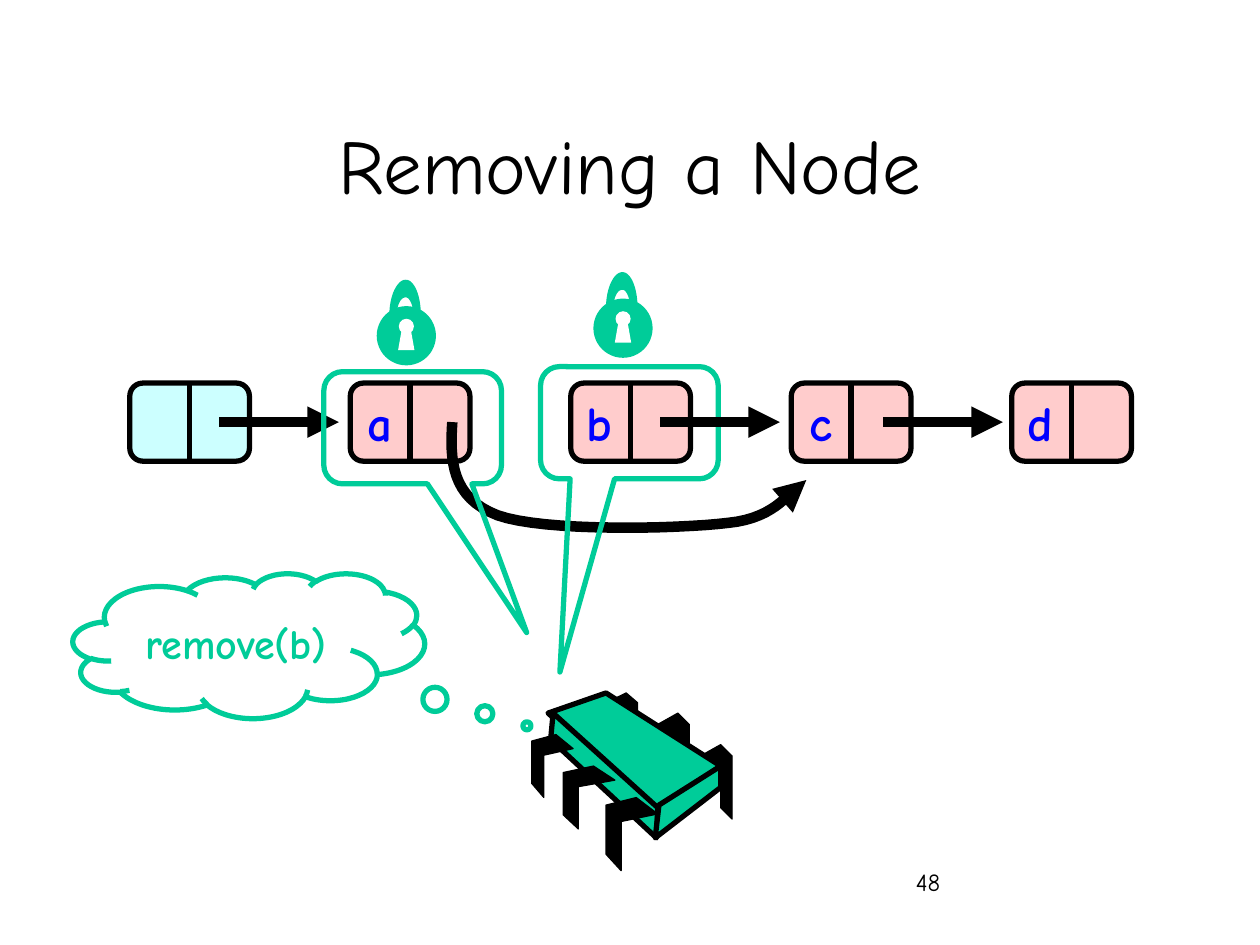
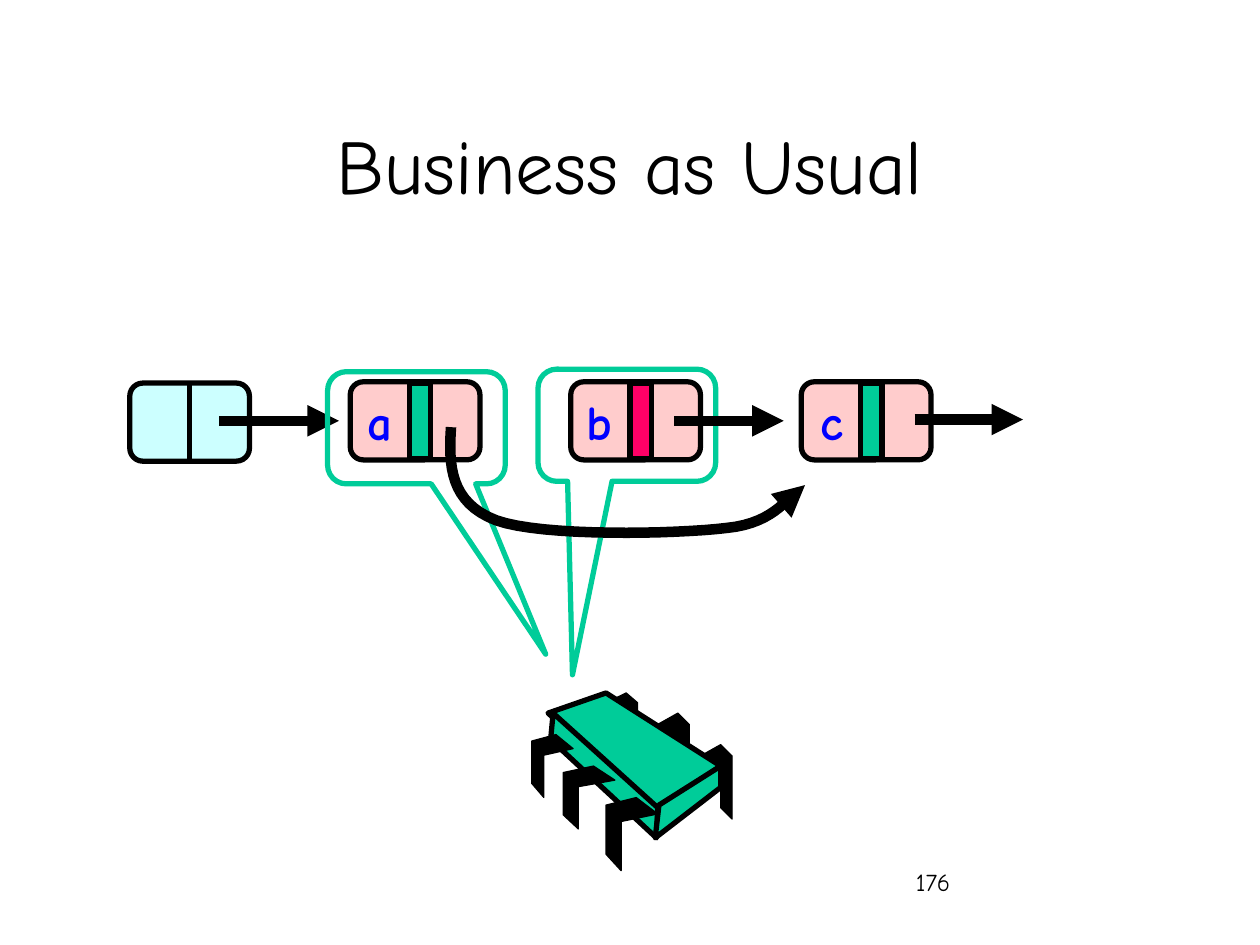
"""Build two slides about removing a node from a linked list."""
from dataclasses import dataclass
from typing import Any, Optional

from lxml.etree import SubElement
from pptx import Presentation
from pptx.dml.color import RGBColor
from pptx.enum.shapes import MSO_CONNECTOR, MSO_SHAPE
from pptx.enum.text import MSO_ANCHOR, MSO_AUTO_SIZE, PP_ALIGN
from pptx.oxml.ns import qn
from pptx.util import Inches, Pt

Point = tuple[float, float]
Points = list[Point]


@dataclass(frozen=True)
class Theme:
    font: str = "Comic Neue"
    black: str = "000000"
    white: str = "FFFFFF"
    green: str = "00CC99"
    pink: str = "FFCCCC"
    cyan: str = "CCFFFF"
    red: str = "FF0066"
    blue: str = "0000FF"
    title_size: int = 44
    label_size: int = 28
    thought_size: int = 24
    number_size: int = 14
    thin: float = 0.75
    outline: float = 3
    arrow: float = 6


THEME = Theme()
REAR_LEG = [(0, .09), (.16, 0), (.25, .09), (.25, .59), (.16, .5), (.16, .17), (0, .25)]
FRONT_LEG = [(.24, 0), (.41, .13), (.12, .19), (.12, .58), (0, .45), (0, .06)]
REAR_LEGS = [(5.56, 5.91, 1, 1), (5.22, 5.66, 1, 1), (4.81, 5.5, 1, .86)]
FRONT_LEGS = [(4.81, 6.33, 1, 1), (4.47, 6.08, 1, .86), (4.22, 5.83, .8, .86)]
CHIP_FACES = [
    [(4.81, 5.5), (5.72, 6.08), (5.21, 6.43), (4.35, 5.66)],
    [(4.39, 5.66), (5.22, 6.41), (5.21, 6.65), (4.37, 5.87)],
    [(5.72, 6.08), (5.72, 6.25), (5.2, 6.65), (5.23, 6.39)],
]
KEY_SLOT = [(.17, .56), (.2, .39), (.27, .39), (.3, .56)]
SHACKLE_INNER = [(.16, .28), (.16, .2), (.19, .14), (.23, .14),
                 (.26, .14), (.29, .2), (.29, .28)]
SHACKLE_OUTER = [(.35, .28), (.35, .13), (.3, 0), (.23, 0),
                 (.16, 0), (.1, .13), (.1, .28)]
BYPASS = [(0, 0), (-.02, .3), (-.01, .6), (.36, .74), (.72, .87),
          (1.78, .85), (2.19, .8), (2.59, .76), (2.68, .53), (2.81, .46)]


def color(value: str) -> RGBColor:
    """Turn a hex value into a colour."""
    return RGBColor.from_string(value)


def assign(target: Any, values: dict[str, Any]) -> None:
    """Set every named attribute on the target."""
    for name, value in values.items():
        setattr(target, name, value)


def place(points: Points, left: float, top: float,
          across: float = 1, down: float = 1) -> Points:
    """Scale points and move them to a corner."""
    return [(left + x * across, top + y * down) for x, y in points]


def bezier(points: Points, steps: int = 16) -> Points:
    """Sample a chain of cubic curves."""
    curve = [points[0]]
    for first in range(0, len(points) - 1, 3):
        controls = points[first:first + 4]
        for step in range(1, steps + 1):
            t = step / steps
            weights = ((1 - t) ** 3, 3 * t * (1 - t) ** 2, 3 * t * t * (1 - t), t ** 3)
            curve.append((sum(w * x for w, (x, _) in zip(weights, controls)),
                          sum(w * y for w, (_, y) in zip(weights, controls))))
    return curve


def paint_line(shape: Any, line: Optional[str], width: float, head: bool = False) -> None:
    """Give a shape its outline and an optional arrowhead."""
    if line is None:
        shape.line.fill.background()
        return
    shape.line.color.rgb = color(line)
    shape.line.width = Pt(width)
    if head:
        outline = shape._element.spPr.find(qn("a:ln"))
        SubElement(outline, qn("a:tailEnd"), type="triangle")


def paint(shape: Any, fill: Optional[str], line: Optional[str],
          width: float = THEME.outline, head: bool = False) -> None:
    """Give a shape its fill and outline without a shadow."""
    if fill is None:
        shape.fill.background()
    else:
        shape.fill.solid()
        shape.fill.fore_color.rgb = color(fill)
    paint_line(shape, line, width, head)
    shape.shadow.inherit = False


def preset(shapes: Any, kind: MSO_SHAPE, at: tuple[float, ...], fill: Optional[str],
           line: Optional[str], adjustments: tuple[float, ...] = ()) -> Any:
    """Draw a preset shape."""
    shape = shapes.add_shape(kind, *map(Inches, at))
    for index, value in enumerate(adjustments):
        shape.adjustments[index] = value
    paint(shape, fill, line)
    return shape


def outline(shapes: Any, points: Points, fill: Optional[str], line: Optional[str],
            width: float = THEME.outline, close: bool = True, head: bool = False) -> None:
    """Draw a freeform through the points."""
    corners = [(Inches(x), Inches(y)) for x, y in points]
    builder = shapes.build_freeform(*corners[0])
    builder.add_line_segments(corners[1:], close=close)
    paint(builder.convert_to_shape(), fill, line, width, head)


def connect(shapes: Any, start: Point, end: Point, width: float,
            head: bool = False) -> Any:
    """Draw a straight black connector."""
    ends = map(Inches, (*start, *end))
    line = shapes.add_connector(MSO_CONNECTOR.STRAIGHT, *ends)
    paint_line(line, THEME.black, width, head)
    SubElement(line._element.spPr, qn("a:effectLst"))
    return line


def write(box: Any, text: str, size: int, ink: str = THEME.black, bold: bool = False,
          align: PP_ALIGN = PP_ALIGN.LEFT, **frame: Any) -> None:
    """Write one paragraph into a box."""
    assign(box.text_frame, {"word_wrap": True, **frame})
    para = box.text_frame.paragraphs[0]
    para.alignment = align
    span = para.add_run()
    span.text = text
    assign(span.font, {"name": THEME.font, "size": Pt(size), "bold": bold})
    span.font.color.rgb = color(ink)


@dataclass(frozen=True)
class Node:
    left: float
    label: str = ""
    fill: str = THEME.pink
    mark: Optional[str] = None

    def draw(self, shapes: Any) -> None:
        """Draw a list node, its divider, label and mark."""
        parts = shapes.add_group_shape().shapes
        top, width = (3.03, 1.03) if self.mark else (3.04, .95)
        box = preset(parts, MSO_SHAPE.ROUNDED_RECTANGLE, (self.left, top, width, .62),
                     self.fill, THEME.black, (.167,))
        middle = self.left + .48
        divider = connect(parts, (middle, top), (middle, top + .62), THEME.outline)
        if self.mark is None:
            divider.begin_connect(box, 0)
            divider.end_connect(box, 2)
        if self.label:
            name = parts.add_textbox(*map(Inches, (self.left, top + .03, .43, .57)))
            write(name, self.label, THEME.label_size, THEME.blue, True, PP_ALIGN.RIGHT,
                  word_wrap=False, auto_size=MSO_AUTO_SIZE.SHAPE_TO_FIT_TEXT)
        if self.mark:
            preset(parts, MSO_SHAPE.RECTANGLE, (self.left + .47, 3.04, .17, .6),
                   self.mark, THEME.black)


@dataclass(frozen=True)
class Arrow:
    left: float
    top: float
    length: float = .95

    def draw(self, shapes: Any) -> None:
        """Draw a pointer to the next node."""
        connect(shapes, (self.left, self.top), (self.left + self.length, self.top),
                THEME.arrow, True)


@dataclass(frozen=True)
class Bypass:
    left: float
    top: float

    def draw(self, shapes: Any) -> None:
        """Draw the curved pointer around node b."""
        outline(shapes, bezier(place(BYPASS, self.left, self.top)), None,
                THEME.black, THEME.arrow, close=False, head=True)


@dataclass(frozen=True)
class Callout:
    left: float
    top: float
    tip: Point

    def draw(self, shapes: Any) -> None:
        """Draw the frame that links a node with the chip."""
        preset(shapes, MSO_SHAPE.ROUNDED_RECTANGULAR_CALLOUT,
               (self.left, self.top, 1.41, .89), None, THEME.green, (*self.tip, .167))


@dataclass(frozen=True)
class Chip:
    def draw(self, shapes: Any) -> None:
        """Draw the processor chip with its legs."""
        parts = shapes.add_group_shape().shapes
        for leg in REAR_LEGS:
            outline(parts, place(REAR_LEG, *leg), THEME.black, THEME.black, THEME.thin)
        for face in CHIP_FACES:
            outline(parts, face, THEME.green, THEME.black)
        for leg in FRONT_LEGS:
            outline(parts, place(FRONT_LEG, *leg), THEME.black, THEME.black, THEME.thin)


@dataclass(frozen=True)
class Lock:
    left: float
    top: float

    def draw(self, shapes: Any) -> None:
        """Draw a padlock."""
        parts = shapes.add_group_shape().shapes
        for inset, drop, size, fill in ((0, .21, .47, THEME.green),
                                        (.175, .31, .12, THEME.white)):
            preset(parts, MSO_SHAPE.OVAL,
                   (self.left + inset, self.top + drop, size, size), fill, None)
        shackle = bezier(SHACKLE_INNER) + bezier(SHACKLE_OUTER)
        for points, fill in ((KEY_SLOT, THEME.white), (shackle, THEME.green)):
            outline(parts, place(points, self.left, self.top), fill, None)


@dataclass(frozen=True)
class Thought:
    text: str

    def draw(self, shapes: Any) -> None:
        """Draw the thought cloud."""
        cloud = preset(shapes, MSO_SHAPE.CLOUD_CALLOUT, (.58, 4.55, 2.79, 1.15),
                       None, THEME.green, (.791, .553))
        write(cloud, self.text, THEME.thought_size, THEME.green, True,
              PP_ALIGN.CENTER, vertical_anchor=MSO_ANCHOR.MIDDLE)


@dataclass(frozen=True)
class Scene:
    title: str
    number: str
    items: tuple[Any, ...]


HEAD = Node(1.03, fill=THEME.cyan)
SCENES = (
    Scene("Removing a Node", "48", (
        HEAD, Node(2.78, "a"), Node(4.53, "b"), Node(6.28, "c"), Arrow(1.74, 3.35),
        Bypass(3.59, 3.35), Chip(),
        Callout(4.29, 2.91, (-.391, 2.223)), Callout(2.57, 2.95, (.642, 1.826)),
        Node(8.03, "d"), Arrow(5.24, 3.35), Arrow(7.01, 3.35),
        Thought("remove(b)"), Lock(4.71, 2.16), Lock(2.99, 2.22))),
    Scene("Business as Usual", "176", (
        Callout(4.27, 2.93, (-.306, 2.225)), HEAD, Arrow(1.74, 3.34),
        Node(2.78, "a", mark=THEME.green), Node(4.53, "b", mark=THEME.red),
        Node(6.36, "c", mark=THEME.green), Arrow(5.35, 3.34, .87),
        Arrow(7.26, 3.33, .86), Callout(2.6, 2.95, (.728, 2.019)),
        Bypass(3.58, 3.39), Chip())),
)


def build_page(deck: Any, scene: Scene) -> None:
    """Add one slide with its title, number and items."""
    page = deck.slides.add_slide(deck.slide_layouts[6])
    number = page.shapes.add_textbox(*map(Inches, (7.17, 6.83, 2.08, .5)))
    write(number, scene.number, THEME.number_size)
    title = page.shapes.add_textbox(*map(Inches, (.75, .67, 8.5, 1.25)))
    write(title, scene.title, THEME.title_size, align=PP_ALIGN.CENTER,
          vertical_anchor=MSO_ANCHOR.MIDDLE)
    for item in scene.items:
        item.draw(page.shapes)


def main() -> None:
    """Build and save the deck."""
    deck = Presentation()
    assign(deck, {"slide_width": Inches(10), "slide_height": Inches(7.5)})
    for scene in SCENES:
        build_page(deck, scene)
    deck.save("out.pptx")


if __name__ == "__main__":
    main()
